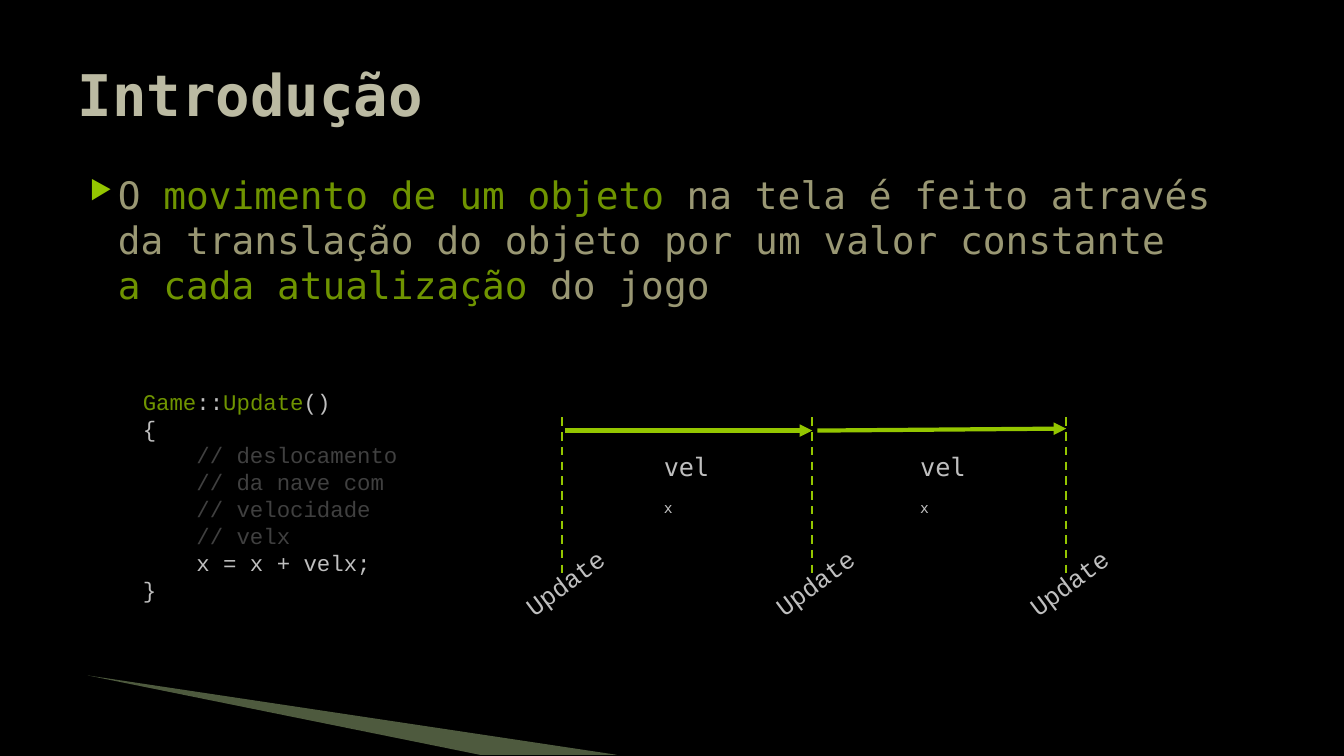
"""Build the slide that introduces object movement in a game loop."""
from dataclasses import dataclass

from lxml.etree import SubElement
from pptx import Presentation
from pptx.dml.color import RGBColor
from pptx.enum.dml import MSO_LINE
from pptx.enum.shapes import MSO_CONNECTOR
from pptx.enum.text import MSO_ANCHOR, PP_ALIGN
from pptx.oxml.ns import qn
from pptx.util import Cm, Pt


@dataclass(frozen=True)
class Theme:
    background: str = "000000"
    title: str = "BBBAA2"
    body: str = "999773"
    accent: str = "6F9400"
    line: str = "94C600"
    label: str = "BFBFBF"
    comment: str = "404040"
    wedge: str = "C3E19D"
    text_font: str = "DejaVu Sans Mono"
    code_font: str = "Courier New"
    title_size: int = 41
    body_size: int = 27
    label_size: int = 18
    code_size: int = 16


@dataclass(frozen=True)
class Span:
    text: str
    colour: str
    baseline: int = 0


@dataclass(frozen=True)
class Box:
    left: float
    top: float
    width: float
    height: float


@dataclass(frozen=True)
class Segment:
    start: tuple[float, float]
    end: tuple[float, float]
    weight: float
    dashed: bool = False


THEME = Theme()
TICKS = (14.17, 20.47, 26.87)
TICK_TOP, TICK_BOTTOM = 10.52, 14.53
ARROWS = (
    Segment((14.25, 10.85), (20.47, 10.85), 3),
    Segment((20.6, 10.85), (26.87, 10.8), 3),
)
VELOCITY_LEFTS = (16.48, 22.94)
WEDGE = ((2.21, 17.02), (15.54, 19.02), (12.09, 19.02))
BODY = [
    Span("O ", THEME.body),
    Span("movimento de um objeto ", THEME.accent),
    Span("na tela é feito através \nda translação do objeto por um valor constante \n", THEME.body),
    Span("a cada atualização ", THEME.accent),
    Span("do jogo", THEME.body),
]
CODE = [
    [
        Span("Game", THEME.accent),
        Span("::", THEME.label),
        Span("Update", THEME.accent),
        Span("()", THEME.label),
    ],
    [Span("{", THEME.label)],
    [Span("    // deslocamento", THEME.comment)],
    [Span("    // da nave com \n    // velocidade", THEME.comment)],
    [Span("    // velx", THEME.comment)],
    [Span("    x = x + velx;", THEME.label)],
    [Span("}", THEME.label)],
]


def style_font(font, name: str, size: float, colour: str) -> None:
    """Set the typeface, size and colour of a font."""
    font.name = name
    font.size = Pt(size)
    font.color.rgb = RGBColor.from_string(colour)


def place(shape, box: Box) -> None:
    """Move and size a shape."""
    shape.left, shape.top = Cm(box.left), Cm(box.top)
    shape.width, shape.height = Cm(box.width), Cm(box.height)


def add_spans(paragraph, spans: list[Span], font_name: str, size: float) -> None:
    """Write coloured spans, turning newlines into line breaks."""
    for span in spans:
        for index, piece in enumerate(span.text.split("\n")):
            if index:
                paragraph.add_line_break()
            if piece:
                run = paragraph.add_run()
                run.text = piece
                style_font(run.font, font_name, size, span.colour)
                if span.baseline:
                    run.font._element.set("baseline", str(span.baseline * 1000))


def add_text(page, box: Box, lines: list[list[Span]], font_name: str, size: float, wrap: bool = True):
    """Add a text box with one paragraph for each list of spans."""
    shape = page.shapes.add_textbox(0, 0, 0, 0)
    place(shape, box)
    frame = shape.text_frame
    frame.word_wrap = wrap
    for index, spans in enumerate(lines):
        paragraph = frame.add_paragraph() if index else frame.paragraphs[0]
        add_spans(paragraph, spans, font_name, size)
    return shape


def add_bullet(paragraph) -> None:
    """Give a paragraph a hanging triangular bullet."""
    properties = paragraph._p.get_or_add_pPr()
    properties.set("marL", str(Cm(1.02)))
    properties.set("indent", str(Cm(-0.71)))
    colour = SubElement(properties, qn("a:buClr"))
    SubElement(colour, qn("a:srgbClr"), val=THEME.line)
    SubElement(properties, qn("a:buSzPct"), val="68000")
    SubElement(properties, qn("a:buChar"), char="▶")


def add_segment(page, segment: Segment) -> None:
    """Draw a dashed line or an arrow."""
    ends = [Cm(value) for value in segment.start + segment.end]
    connector = page.shapes.add_connector(MSO_CONNECTOR.STRAIGHT, *ends)
    connector.line.color.rgb = RGBColor.from_string(THEME.line)
    connector.line.width = Pt(segment.weight)
    if segment.dashed:
        connector.line.dash_style = MSO_LINE.DASH
    else:
        SubElement(connector.line._get_or_add_ln(), qn("a:tailEnd"), type="triangle")
    SubElement(connector._element.spPr, qn("a:effectLst"))


def add_wedge(page) -> None:
    """Draw the translucent wedge at the foot of the slide."""
    first, *others = [(Cm(left), Cm(top)) for left, top in WEDGE]
    builder = page.shapes.build_freeform(*first)
    builder.add_line_segments(others, close=True)
    wedge = builder.convert_to_shape()
    wedge.shadow.inherit = False
    wedge.line.fill.background()
    wedge.fill.solid()
    wedge.fill.fore_color.rgb = RGBColor.from_string(THEME.wedge)
    colour = wedge._element.spPr.find(qn("a:solidFill"))[0]
    SubElement(colour, qn("a:alpha"), val="40000")


def add_title(page) -> None:
    """Fill and format the title placeholder."""
    title = page.shapes.title
    place(title, Box(1.7, 0.76, 30.48, 3.18))
    title.text_frame.text = "Introdução"
    title.text_frame.vertical_anchor = MSO_ANCHOR.MIDDLE
    paragraph = title.text_frame.paragraphs[0]
    paragraph.alignment = PP_ALIGN.LEFT
    font = paragraph.runs[0].font
    style_font(font, THEME.text_font, THEME.title_size, THEME.title)
    font.bold = True


def add_timeline(page) -> None:
    """Draw the updates and the displacement between them."""
    velocity = [Span("vel", THEME.label), Span("x", THEME.label, -25)]
    for left in VELOCITY_LEFTS:
        add_text(page, Box(left, 11.25, 1.68, 1.02), [velocity], THEME.text_font, THEME.label_size)
    ticks = [Segment((left, TICK_TOP), (left, TICK_BOTTOM), 1.5, True) for left in TICKS]
    for segment in (*ARROWS, *ticks):
        add_segment(page, segment)
    for left in TICKS:
        update = add_text(page, Box(left - 0.67, 13.72, 1.27, 2.36), [[Span("Update", THEME.label)]],
                          THEME.code_font, THEME.label_size, wrap=False)
        update.rotation = 53.2
        update.text_frame._txBody.bodyPr.set("vert", "vert270")


def main() -> None:
    """Build and save the deck."""
    deck = Presentation()
    deck.slide_width, deck.slide_height = Cm(33.87), Cm(19.05)
    page = deck.slides.add_slide(deck.slide_layouts[5])
    page.background.fill.solid()
    page.background.fill.fore_color.rgb = RGBColor.from_string(THEME.background)
    add_wedge(page)
    add_title(page)
    body = add_text(page, Box(1.7, 4.19, 30.48, 12.5), [BODY], THEME.text_font, THEME.body_size)
    add_bullet(body.text_frame.paragraphs[0])
    add_timeline(page)
    add_text(page, Box(3.35, 9.65, 8.05, 5.74), CODE, THEME.code_font, THEME.code_size)
    deck.save("out.pptx")


if __name__ == "__main__":
    main()
